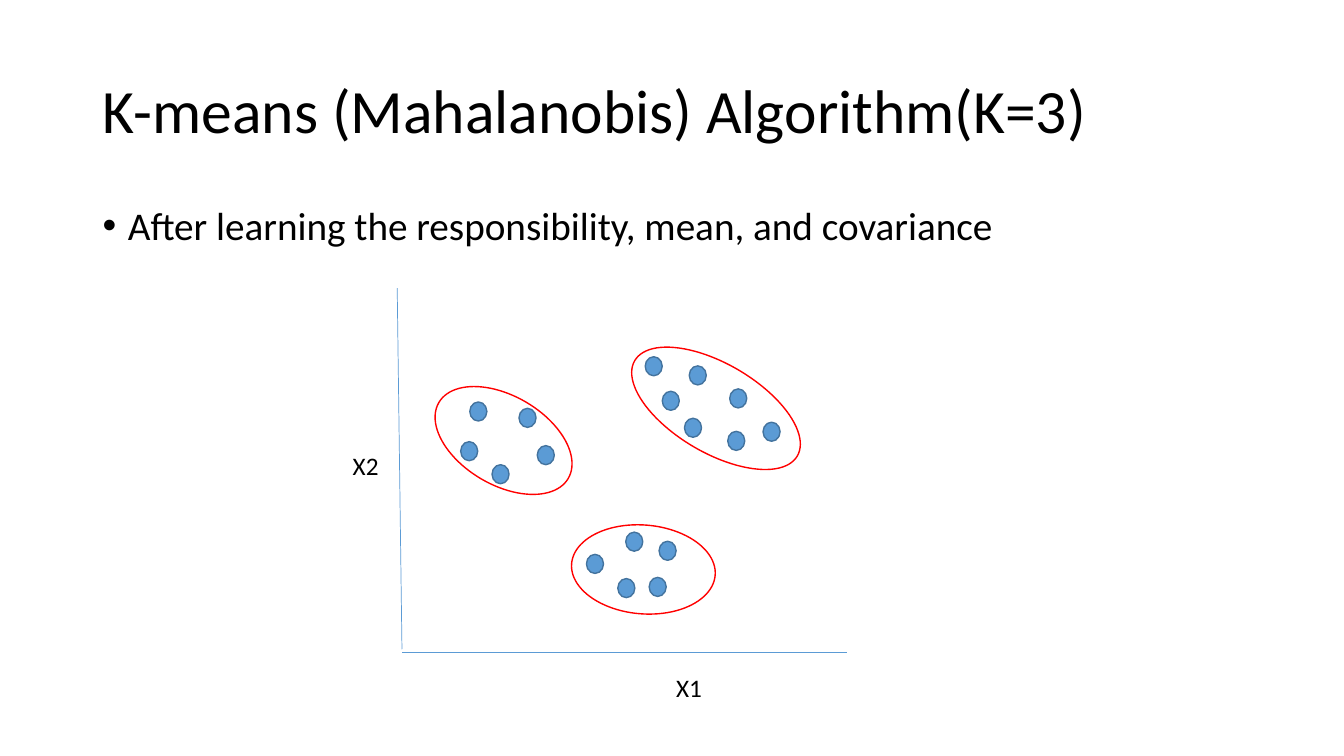
from lxml import etree
from pptx import Presentation
from pptx import util as u
from pptx.dml.color import RGBColor
from pptx.enum import shapes, text
from pptx.oxml import ns


class ClusterSlide:
    font = "Calibri"
    colors = {"text": "000000", "dot": "5B9BD5", "dot_edge": "43739E",
              "axis": "5B9BD5", "cluster": "FF0000"}

    def __init__(self, deck):
        self.slide = deck.slides.add_slide(deck.slide_layouts[6])

    def color(self, name):
        return RGBColor.from_string(self.colors[name])

    def words(self, content, left, top, width, height, size, wrap=True,
              anchor=text.MSO_ANCHOR.TOP):
        box = self.slide.shapes.add_textbox(
            u.Cm(left), u.Cm(top), u.Cm(width), u.Cm(height))
        frame = box.text_frame
        frame.word_wrap = wrap
        frame.vertical_anchor = anchor
        paragraph = frame.paragraphs[0]
        run = paragraph.add_run()
        run.text = content
        run.font.name = self.font
        run.font.size = u.Pt(size)
        run.font.color.rgb = self.color("text")
        return paragraph

    def title(self, content):
        heading = self.words(content, 2.34, 1.02, 29.21, 3.68, 44,
                             anchor=text.MSO_ANCHOR.MIDDLE)
        heading.line_spacing = 0.9

    def bullet(self, content):
        point = self.words(content, 2.34, 5.08, 29.21, 12.09, 28)
        point.line_spacing = 0.9
        point.space_before = u.Pt(10)
        props = point._p.get_or_add_pPr()
        indent = u.Cm(0.635)
        props.set("marL", str(indent))
        props.set("indent", str(-indent))
        etree.SubElement(props, ns.qn("a:buFont")).set("typeface", "Arial")
        etree.SubElement(props, ns.qn("a:buChar")).set("char", "•")

    def axis(self, start, end):
        line = self.slide.shapes.add_connector(
            shapes.MSO_CONNECTOR.STRAIGHT, *map(u.Cm, start + end))
        line.line.color.rgb = self.color("axis")
        line.line.width = u.Pt(0.5)
        etree.SubElement(line._element.spPr, ns.qn("a:effectLst"))

    def axis_label(self, content, left, top):
        self.words(content, left, top, 1.17, 1.02, 18, wrap=False)

    def ellipse(self, left, top, width, height, edge):
        oval = self.slide.shapes.add_shape(
            shapes.MSO_SHAPE.OVAL, u.Cm(left), u.Cm(top), u.Cm(width), u.Cm(height))
        oval.shadow.inherit = False
        oval.line.color.rgb = self.color(edge)
        oval.line.width = u.Pt(1)
        return oval

    def dot(self, left, top):
        oval = self.ellipse(left, top, 0.43, 0.48, "dot_edge")
        oval.fill.solid()
        oval.fill.fore_color.rgb = self.color("dot")

    def cluster(self, left, top, width, angle, dots):
        for position in dots:
            self.dot(*position)
        outline = self.ellipse(left, top, width, 2.24, "cluster")
        outline.fill.background()
        outline.rotation = angle


CLUSTERS = [
    (10.8, 9.98, 3.78, 30.4,
     [(11.61, 11.13), (13.08, 10.29), (12.4, 11.71), (13.54, 11.23), (11.84, 10.13)]),
    (15.67, 9.17, 4.75, 30.4,
     [(19.23, 10.64), (17.37, 9.22), (17.25, 10.54), (18.39, 9.8),
      (18.34, 10.87), (16.26, 8.99), (16.69, 9.86)]),
    (14.4, 13.23, 3.63, 4.6,
     [(14.78, 13.97), (15.57, 14.58), (16.61, 13.64), (16.36, 14.55), (15.77, 13.41)]),
]


def main():
    deck = Presentation()
    deck.slide_width, deck.slide_height = u.Cm(33.87), u.Cm(19.05)
    page = ClusterSlide(deck)
    page.title("K-means (Mahalanobis) Algorithm(K=3)")
    page.bullet("After learning the responsibility, mean, and covariance")
    page.axis((10.01, 7.26), (10.13, 16.36))
    page.axis((21.34, 16.43), (10.13, 16.43))
    page.axis_label("X1", 16.79, 16.81)
    page.axis_label("X2", 8.64, 11.23)
    for cluster in CLUSTERS:
        page.cluster(*cluster)
    deck.save("out.pptx")


if __name__ == "__main__":
    main()
